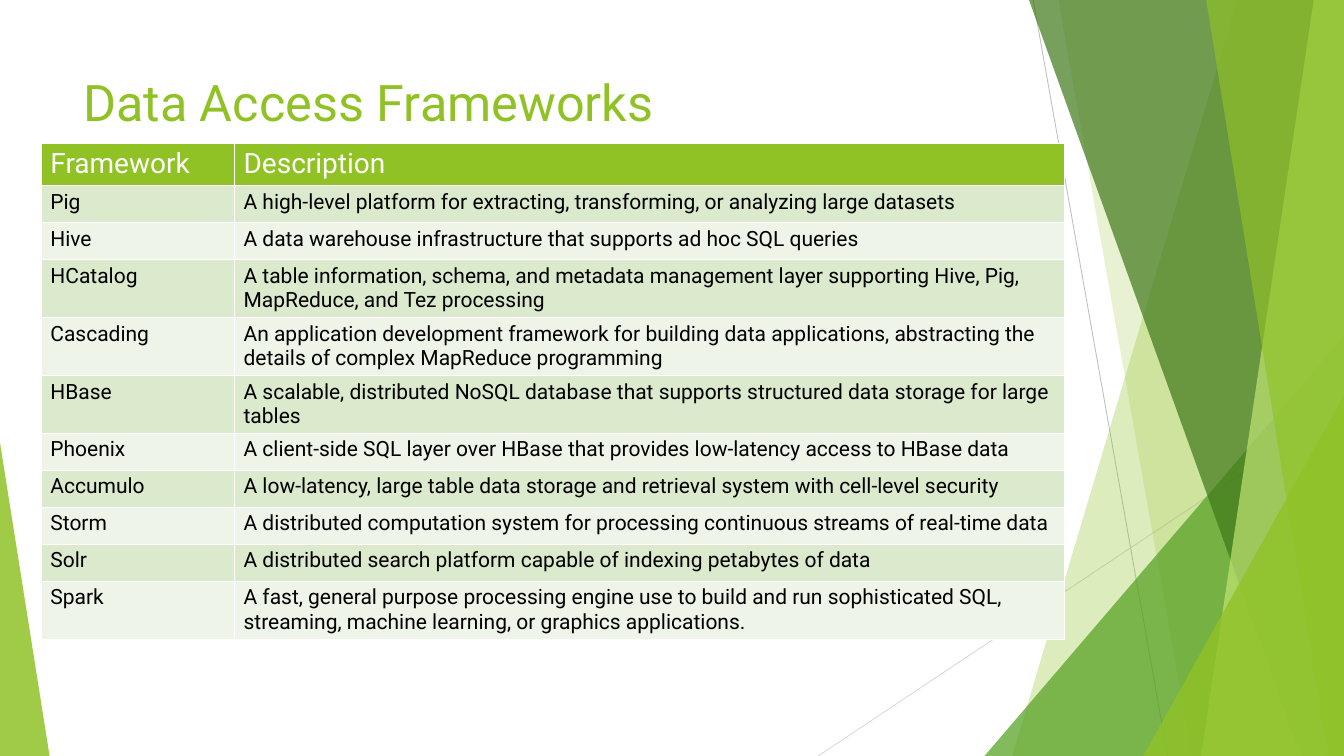
import pptx
import pptx.dml.color
import pptx.enum.shapes
import pptx.enum.text
import pptx.oxml.ns
import pptx.oxml.xmlchemy
import pptx.util

RGBColor = pptx.dml.color.RGBColor
WHITE = RGBColor(0xFF, 0xFF, 0xFF)
BLACK = RGBColor(0, 0, 0)
LIME = RGBColor(0x90, 0xC2, 0x26)
GREEN = RGBColor(0x54, 0xA0, 0x21)
FOREST = RGBColor(0x3F, 0x78, 0x19)
PALE_LIME = RGBColor(0xC0, 0xE4, 0x74)
MID_GRAY = RGBColor(0xBF, 0xBF, 0xBF)
LIGHT_GRAY = RGBColor(0xD9, 0xD9, 0xD9)
ROW_BANDS = [RGBColor(0xEE, 0xF4, 0xE8), RGBColor(0xDB, 0xE9, 0xCD)]

presentation = pptx.Presentation()
presentation.slide_width = pptx.util.Inches(16)
presentation.slide_height = pptx.util.Inches(9)
unit = presentation.slide_width // 16
slide = presentation.slides.add_slide(presentation.slide_layouts[5])


def grid(*lengths):
    return [round(length * unit) for length in lengths]


def format_text(paragraph, formats):
    for name, value in formats.items():
        setattr(paragraph.font, name, value)


for ends, color in [((12.3, 0, 13.9, 9), MID_GRAY), ((16, 4.83, 9.74, 9), LIGHT_GRAY)]:
    connector = slide.shapes.add_connector(
        pptx.enum.shapes.MSO_CONNECTOR.STRAIGHT, *grid(*ends))
    connector.line.color.rgb = color
    connector.line.width = pptx.util.Pt(0.75)
    connector.element.spPr.append(pptx.oxml.xmlchemy.OxmlElement("a:effectLst"))

facets = [
    ("band", (14.73, 12.05), None, LIME, 30),
    ("band", (12.6, 14.19), None, LIME, 20),
    ("triangle", (11.72, 4, 4.28, 5), 1, GREEN, 72),
    ("band", (12.25, 15.49), None, FOREST, 70),
    ("band", (15.64, 14.3), None, PALE_LIME, 70),
    ("band", (14.36, 15.81), None, LIME, 65),
    ("triangle", (13.61, 4.71, 2.39, 4.29), 1, LIME, 80),
    ("triangle", (0, 5.27, 0.59, 3.73), 0, LIME, 85),
]
for kind, place, apex, color, opacity in facets:
    if kind == "band":
        top_x, bottom_x = place
        outline = slide.shapes.build_freeform(*grid(top_x, 0))
        outline.add_line_segments([grid(16, 0), grid(16, 9), grid(bottom_x, 9)])
        facet = outline.convert_to_shape()
    else:
        facet = slide.shapes.add_shape(
            pptx.enum.shapes.MSO_SHAPE.ISOSCELES_TRIANGLE, *grid(*place))
        facet.adjustments[0] = apex
    facet.shadow.inherit = False
    facet.line.fill.background()
    facet.fill.solid()
    facet.fill.fore_color.rgb = color
    alpha = pptx.oxml.xmlchemy.OxmlElement("a:alpha")
    alpha.set("val", str(opacity * 1000))
    facet.element.spPr.find(pptx.oxml.ns.qn("a:solidFill"))[0].append(alpha)

title = slide.shapes.title
title.left, title.top, title.width, title.height = grid(0.89, 0.8, 11.28, 1.73)
title.element.getparent().append(title.element)
title.text_frame.text = "Data Access Frameworks"
title.text_frame.vertical_anchor = pptx.enum.text.MSO_ANCHOR.TOP
title.text_frame.auto_size = pptx.enum.text.MSO_AUTO_SIZE.NONE
heading = title.text_frame.paragraphs[0]
heading.alignment = pptx.enum.text.PP_ALIGN.LEFT
format_text(heading, {"name": "Roboto", "size": pptx.util.Pt(43.2)})
heading.font.color.rgb = LIME

frameworks = [
    (0.5, "Framework", "Description"),
    (0.44, "Pig", "A high-level platform for extracting, transforming, or analyzing large datasets"),
    (0.44, "Hive", "A data warehouse infrastructure that supports ad hoc SQL queries"),
    (0.69, "HCatalog", "A table information, schema, and metadata management layer supporting Hive, Pig, MapReduce, and Tez processing"),
    (0.69, "Cascading", "An application development framework for building data applications, abstracting the details of complex MapReduce programming"),
    (0.69, "HBase", "A scalable, distributed NoSQL database that supports structured data storage for large tables"),
    (0.44, "Phoenix", "A client-side SQL layer over HBase that provides low-latency access to HBase data"),
    (0.44, "Accumulo", "A low-latency, large table data storage and retrieval system with cell-level security"),
    (0.44, "Storm", "A distributed computation system for processing continuous streams of real-time data"),
    (0.44, "Solr", "A distributed search platform capable of indexing petabytes of data"),
    (0.69, "Spark", "A fast, general purpose processing engine use to build and run sophisticated SQL, streaming, machine learning, or graphics applications."),
]
table_height = sum(height for height, *texts in frameworks)
table = slide.shapes.add_table(
    len(frameworks), 2, *grid(0.49, 1.71, 12.18, table_height)).table
for column, width in zip(table.columns, grid(2.3, 9.88)):
    column.width = width

for row_index, (height, *texts) in enumerate(frameworks):
    is_header = row_index == 0
    table.rows[row_index].height = grid(height)[0]
    for column_index, text in enumerate(texts):
        cell = table.cell(row_index, column_index)
        cell.margin_left, cell.margin_top, cell.margin_right, cell.margin_bottom = grid(
            0.11, 0.05, 0.11, 0.05)
        cell.fill.solid()
        cell.fill.fore_color.rgb = LIME if is_header else ROW_BANDS[row_index % 2]
        cell.text = text
        paragraph = cell.text_frame.paragraphs[0]
        size = pptx.util.Pt(24 if is_header else 18)
        format_text(paragraph, {"name": "Roboto", "size": size, "bold": False})
        paragraph.font.color.rgb = WHITE if is_header else BLACK

presentation.save("out.pptx")
